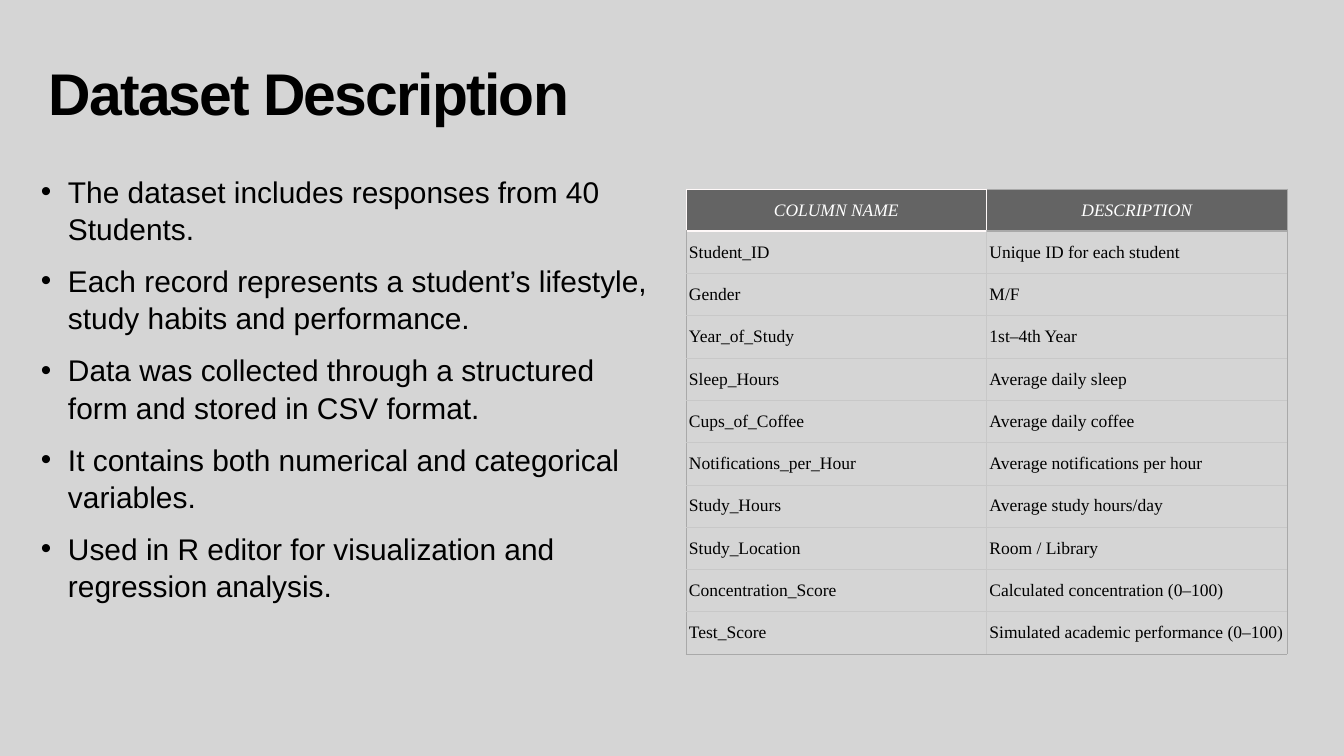
from lxml import etree
from pptx import Presentation
from pptx import util as u
from pptx.dml.color import RGBColor
from pptx.enum import text
from pptx.oxml import ns

SCALE = 914400 / 50.4
COLORS = {"page": "D5D5D5", "ink": "000000", "header": "646464", "header_text": "FFFFFF",
          "header_line": "FFF9F9", "inner_line": "C8C8C8", "outer_line": "A9A9A9"}
POINTS = [
    "The dataset includes responses from 40 Students.",
    "Each record represents a student’s lifestyle, study habits and performance.",
    "Data was collected through a structured form and stored in CSV format.",
    "It contains both numerical and categorical variables.",
    "Used in R editor for visualization and regression analysis.",
]
ROWS = [
    ("COLUMN NAME", "DESCRIPTION"),
    ("Student_ID", "Unique ID for each student"),
    ("Gender", "M/F"),
    ("Year_of_Study", "1st–4th Year"),
    ("Sleep_Hours", "Average daily sleep"),
    ("Cups_of_Coffee", "Average daily coffee"),
    ("Notifications_per_Hour", "Average notifications per hour"),
    ("Study_Hours", "Average study hours/day"),
    ("Study_Location", "Room / Library"),
    ("Concentration_Score", "Calculated concentration (0–100)"),
    ("Test_Score", "Simulated academic performance (0–100)"),
]


def px(length):
    """Turn px into EMU."""
    return u.Emu(round(length * SCALE))


def color(name):
    """Look up a named colour."""
    return RGBColor.from_string(COLORS[name])


def set_font(para, family, size, ink="ink", bold=False, italic=False):
    """Format all the text of a paragraph."""
    font = para.font
    font.name, font.size, font.bold, font.italic = family, u.Pt(size), bold, italic
    font.color.rgb = color(ink)


def set_insets(holder):
    """Give a text frame or a cell its even inner margins."""
    for side in ("left", "top", "right", "bottom"):
        setattr(holder, f"margin_{side}", px(3))


def add_title(page, words):
    """Place and format the title placeholder."""
    title = page.shapes.title
    title.left, title.top, title.width, title.height = map(px, (-293, 44, 1204, 86))
    frame = title.text_frame
    frame.text = words
    frame.auto_size = text.MSO_AUTO_SIZE.NONE
    frame.vertical_anchor = text.MSO_ANCHOR.BOTTOM
    set_insets(frame)
    para = frame.paragraphs[0]
    para.alignment = text.PP_ALIGN.CENTER
    para.line_spacing = 0.8
    set_font(para, "Arial", 84, bold=True)
    para.runs[0].font._element.set("spc", "-250")


def add_bullets(page, points):
    """Add the bulleted list."""
    box = page.shapes.add_textbox(*map(px, (38, 169, 615, 465)))
    frame = box.text_frame
    frame.word_wrap = True
    set_insets(frame)
    for index, words in enumerate(points):
        para = frame.paragraphs[0] if index == 0 else frame.add_paragraph()
        para.text = words
        para.line_spacing = 1.04
        para.space_before = u.Pt(21 if index else 0)
        props = para._p.get_or_add_pPr()
        props.set("marL", str(px(27)))
        props.set("indent", str(-px(27)))
        etree.SubElement(props, ns.qn("a:buFont"), typeface="Arial")
        etree.SubElement(props, ns.qn("a:buChar"), char="•")
        set_font(para, "Arial", 42.7)


def set_borders(cell, borders):
    """Draw the left, right, top and bottom lines of a cell."""
    props = cell._tc.get_or_add_tcPr()
    for index, (side, (name, width)) in enumerate(zip("LRTB", borders)):
        line = etree.Element(ns.qn(f"a:ln{side}"), w=str(u.Pt(width)))
        fill = etree.SubElement(line, ns.qn("a:solidFill"))
        etree.SubElement(fill, ns.qn("a:srgbClr"), val=COLORS[name])
        props.insert(index, line)


def cell_borders(row, column, last_row):
    """Choose line colours and widths from the place in the table."""
    inner, outer, light = "inner_line", "outer_line", "header_line"
    edge = outer if column else light
    if row == 0:
        return (light, 1), (edge, 1), (edge, 1), (edge, 3)
    left, right = (inner, outer) if column else (outer, inner)
    top = (edge, 3) if row == 1 else (inner, 1)
    return (left, 1), (right, 1), top, (outer if row == last_row else inner, 1)


def add_columns_table(page, rows):
    """Add the table of data set columns."""
    frame = page.shapes.add_table(len(rows), 2, *map(px, (686, 189, 601, 465)))
    table = frame.table
    table.horz_banding = False
    for r, words in enumerate(rows):
        for c, word in enumerate(words):
            cell = table.cell(r, c)
            cell.text = word
            cell.vertical_anchor = text.MSO_ANCHOR.MIDDLE
            set_insets(cell)
            para = cell.text_frame.paragraphs[0]
            if r == 0:
                cell.fill.solid()
                cell.fill.fore_color.rgb = color("header")
                para.alignment = text.PP_ALIGN.CENTER
                set_font(para, "Times New Roman", 25, "header_text", italic=True)
            else:
                cell.fill.background()
                set_font(para, "Times New Roman", 25)
            set_borders(cell, cell_borders(r, c, len(rows) - 1))


def main():
    """Build the slide and save it."""
    deck = Presentation()
    deck.slide_width, deck.slide_height = px(1344), px(756)
    page = deck.slides.add_slide(deck.slide_layouts[5])
    page.background.fill.solid()
    page.background.fill.fore_color.rgb = color("page")
    add_title(page, "Dataset Description")
    add_bullets(page, POINTS)
    add_columns_table(page, ROWS)
    deck.save("out.pptx")


if __name__ == "__main__":
    main()
